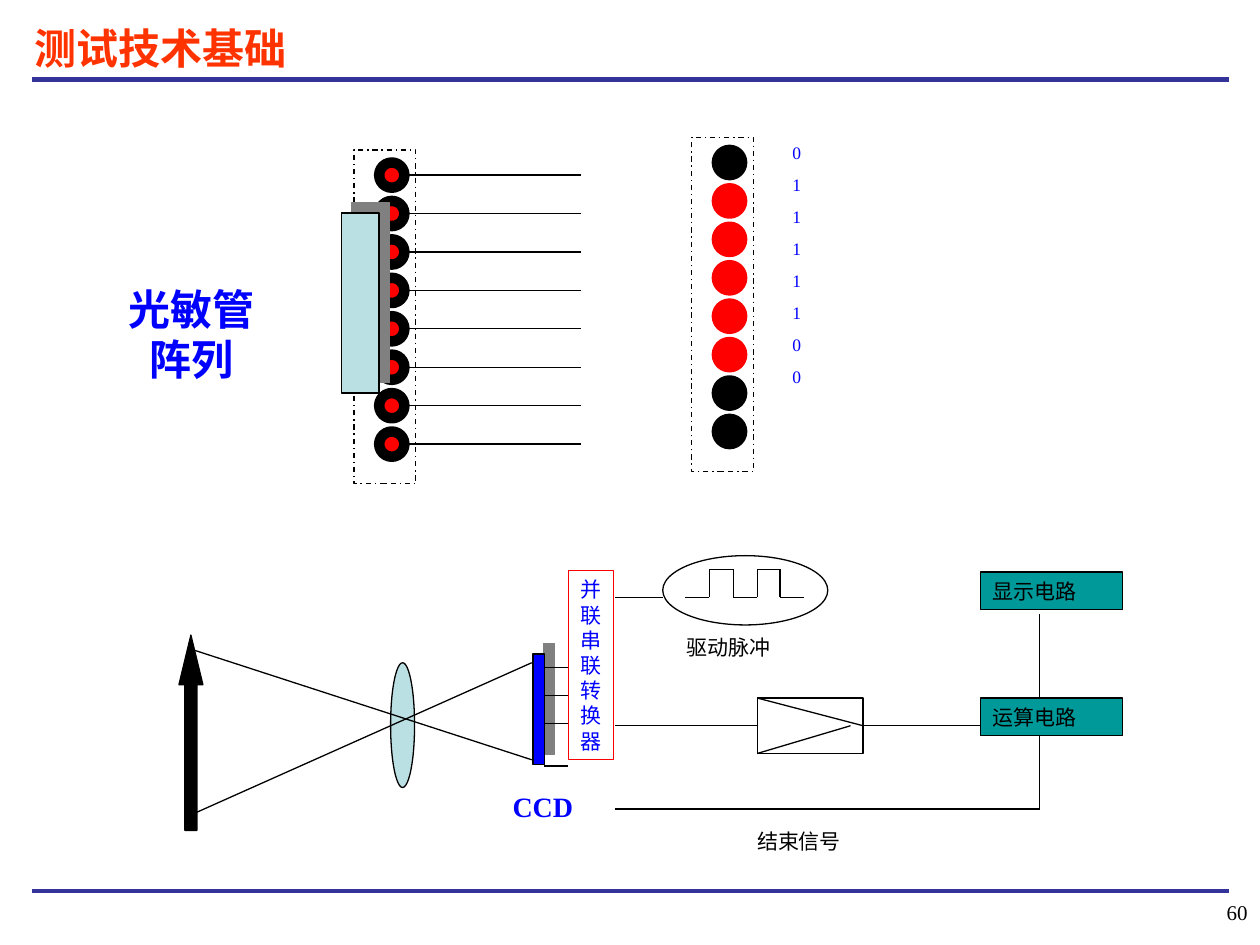
from itertools import pairwise
from lxml import etree
from pptx import Presentation
from pptx.dml.color import RGBColor
from pptx.enum.dml import MSO_LINE
from pptx.enum.shapes import MSO_CONNECTOR, MSO_SHAPE
from pptx.enum.text import MSO_ANCHOR, PP_ALIGN
from pptx.oxml.ns import qn
from pptx.util import Inches, Pt

RECT, OVAL, UP_ARROW = MSO_SHAPE.RECTANGLE, MSO_SHAPE.OVAL, MSO_SHAPE.UP_ARROW
STRAIGHT, DASH_DOT = MSO_CONNECTOR.STRAIGHT, MSO_LINE.DASH_DOT
LEFT, CENTER, RIGHT = PP_ALIGN.LEFT, PP_ALIGN.CENTER, PP_ALIGN.RIGHT
TOP, MIDDLE = MSO_ANCHOR.TOP, MSO_ANCHOR.MIDDLE

THEME = {
    "font": "Times New Roman",
    "title": "FF3300", "rule": "333399", "ink": "000000", "label": "0000FF",
    "lit": "FF0000", "glass": "BBE0E3", "block": "009999", "paper": "FFFFFF",
    "shadow": "808080",
    "sz_heading": 24, "sz_ccd": 16, "sz_body": 12, "sz_digit": 10,
    "thin": 0.75, "ring": 6,
}

TITLE = "测试技术基础"
PAGE = "60"
BITS = "01111100"
RULES = [(0.63, 3), (7.07, 2.25)]  # y, width

ROW_TOP, ROW_STEP = 1.29, 0.305
DOT = 0.2
COLUMN_W, COLUMN_H = 0.49, 2.65
SENSOR_X, OUTPUT_X = 2.81, 5.49
OUTPUT_RISE = 0.1  # the output column sits higher than the sensors
WIRE = (3.22, 4.61)

RAYS = [[(1.51, 5.15), (4.22, 6.03)], [(1.51, 6.47), (4.22, 5.26)]]
CCD_PIN_ROWS = [5.3, 5.52, 5.74, 6.08]
BLOCKS = [("运算电路", 5.54), ("显示电路", 4.54)]
AMPLIFIER = (6.01, 5.54, 0.84, 0.44)
AMPLIFIER_MARKS = [[(6.01, 5.54), (6.85, 5.76)], [(6.01, 5.98), (6.75, 5.76)]]
SIGNAL_PATH = [(4.88, 5.76), (7.78, 5.76)]
END_SIGNAL_PATH = [(4.88, 6.42), (8.25, 6.42), (8.25, 4.87)]
PULSE_LOW, PULSE_HIGH = 4.74, 4.52
PULSE_X = [5.44, 5.63, 5.82, 6.01, 6.19, 6.38]
DRIVE_PATH = [(5.26, PULSE_LOW), (4.88, PULSE_LOW)]
CAPTIONS = [("结束信号", (5.91, 6.53, 1.18, 0.3)),
            ("驱动脉冲", (5.35, 4.99, 1.13, 0.3))]


def color(name):
    return RGBColor.from_string(THEME[name])


def write(s, lines, size, ink, bold=False, align=LEFT, anchor=TOP, gap=0):
    tf = s.text_frame
    tf.word_wrap = True
    tf.vertical_anchor = anchor
    for i, line in enumerate(lines):
        p = tf.add_paragraph() if i else tf.paragraphs[0]
        p.alignment = align
        p.space_before = Pt(gap if i else 0)
        r = p.add_run()
        r.text = line
        r.font.name = THEME["font"]
        r.font.size = Pt(THEME[size])
        r.font.bold = bold
        r.font.color.rgb = color(ink)


def text(slide, box, lines, size, ink, **style):
    write(slide.shapes.add_textbox(*map(Inches, box)), lines, size, ink, **style)


def shape(slide, kind, box, fill=None, line="ink", width="thin"):
    s = slide.shapes.add_shape(kind, *map(Inches, box))
    s.shadow.inherit = False
    if fill:
        s.fill.solid()
        s.fill.fore_color.rgb = color(fill)
    else:
        s.fill.background()
    s.line.color.rgb = color(line)
    s.line.width = Pt(THEME[width])
    return s


def polyline(slide, points, ink="ink", width=THEME["thin"]):
    for start, end in pairwise(points):
        c = slide.shapes.add_connector(STRAIGHT, *map(Inches, start + end))
        c.line.color.rgb = color(ink)
        c.line.width = Pt(width)
        etree.SubElement(c._element.spPr, qn("a:effectLst"))


def cast_shadow(s):
    """Hard shadow, up and to the right."""
    effects = s._element.spPr.find(qn("a:effectLst"))
    outer = etree.SubElement(effects, qn("a:outerShdw"), dist=str(Pt(8.5)),
                             dir=str(315 * 60000), algn="ctr", rotWithShape="0")
    etree.SubElement(outer, qn("a:srgbClr"), val=THEME["shadow"])


def dot_column(slide, x, top, fills, ring=None):
    frame = shape(slide, RECT, (x, top - 0.1, COLUMN_W, COLUMN_H))
    frame.line.dash_style = DASH_DOT
    for i, fill in enumerate(fills):
        box = (x + 0.2, top + i * ROW_STEP, DOT, DOT)
        shape(slide, OVAL, box, fill, ring or fill, "ring")


def draw_frame(slide):
    title = slide.shapes.title
    title.left, title.top, title.width, title.height = map(
        Inches, (0.17, 0.13, 2.92, 0.5))
    write(title, [TITLE], "sz_heading", "title", bold=True)
    for y, width in RULES:
        polyline(slide, [(0.25, y), (9.75, y)], "rule", width)
    text(slide, (9, 6.99, 1, 0.5), [PAGE], "sz_body", "ink",
         align=RIGHT, anchor=MIDDLE)


def draw_sensor_array(slide):
    for i in range(len(BITS)):
        y = ROW_TOP + DOT / 2 + i * ROW_STEP
        polyline(slide, [(x, y) for x in WIRE])
    dot_column(slide, OUTPUT_X, ROW_TOP - OUTPUT_RISE,
               ["lit" if bit == "1" else "ink" for bit in BITS])
    text(slide, (6.19, 1.08, 0.4, 2.04), BITS, "sz_digit", "label", gap=6.2)
    dot_column(slide, SENSOR_X, ROW_TOP, ["lit"] * len(BITS), "ink")
    cast_shadow(shape(slide, RECT, (2.71, 1.69, 0.3, 1.43), "glass"))
    text(slide, (0.83, 2.2, 1.38, 0.9), ["光敏管阵列"], "sz_heading", "label",
         bold=True, align=CENTER)


def draw_ccd_system(slide):
    target = shape(slide, UP_ARROW, (1.42, 5.04, 0.19, 1.55), "ink")
    target.adjustments[0], target.adjustments[1] = 0.5, 2.07
    shape(slide, OVAL, (3.1, 5.26, 0.19, 0.99), "glass")
    for ray in RAYS:
        polyline(slide, ray)
    cast_shadow(shape(slide, RECT, (4.23, 5.19, 0.09, 0.88), "label"))
    converter = shape(slide, RECT, (4.51, 4.53, 0.36, 1.5), line="lit")
    write(converter, ["并联串联转换器"], "sz_body", "label")
    for y in CCD_PIN_ROWS:
        polyline(slide, [(4.32, y), (4.51, y)])

    for path in (SIGNAL_PATH, END_SIGNAL_PATH, DRIVE_PATH):
        polyline(slide, path)
    for label, y in BLOCKS:
        block = shape(slide, RECT, (7.78, y, 1.13, 0.3), "block")
        write(block, [label], "sz_body", "ink")
    shape(slide, RECT, AMPLIFIER, "paper")
    for mark in AMPLIFIER_MARKS:
        polyline(slide, mark)

    shape(slide, OVAL, (5.26, 4.41, 1.31, 0.55))
    wave = []
    for i, (left, right) in enumerate(pairwise(PULSE_X)):
        y = PULSE_HIGH if i % 2 else PULSE_LOW
        wave += [(left, y), (right, y)]
    polyline(slide, wave)
    for caption, box in CAPTIONS:
        text(slide, box, [caption], "sz_body", "ink")
    text(slide, (3.97, 6.22, 0.69, 0.37), ["CCD"], "sz_ccd", "label", bold=True)


def main():
    prs = Presentation()
    prs.slide_width, prs.slide_height = Inches(10), Inches(7.5)
    slide = prs.slides.add_slide(prs.slide_layouts[5])
    draw_frame(slide)
    draw_sensor_array(slide)
    draw_ccd_system(slide)
    prs.save("out.pptx")


if __name__ == "__main__":
    main()
